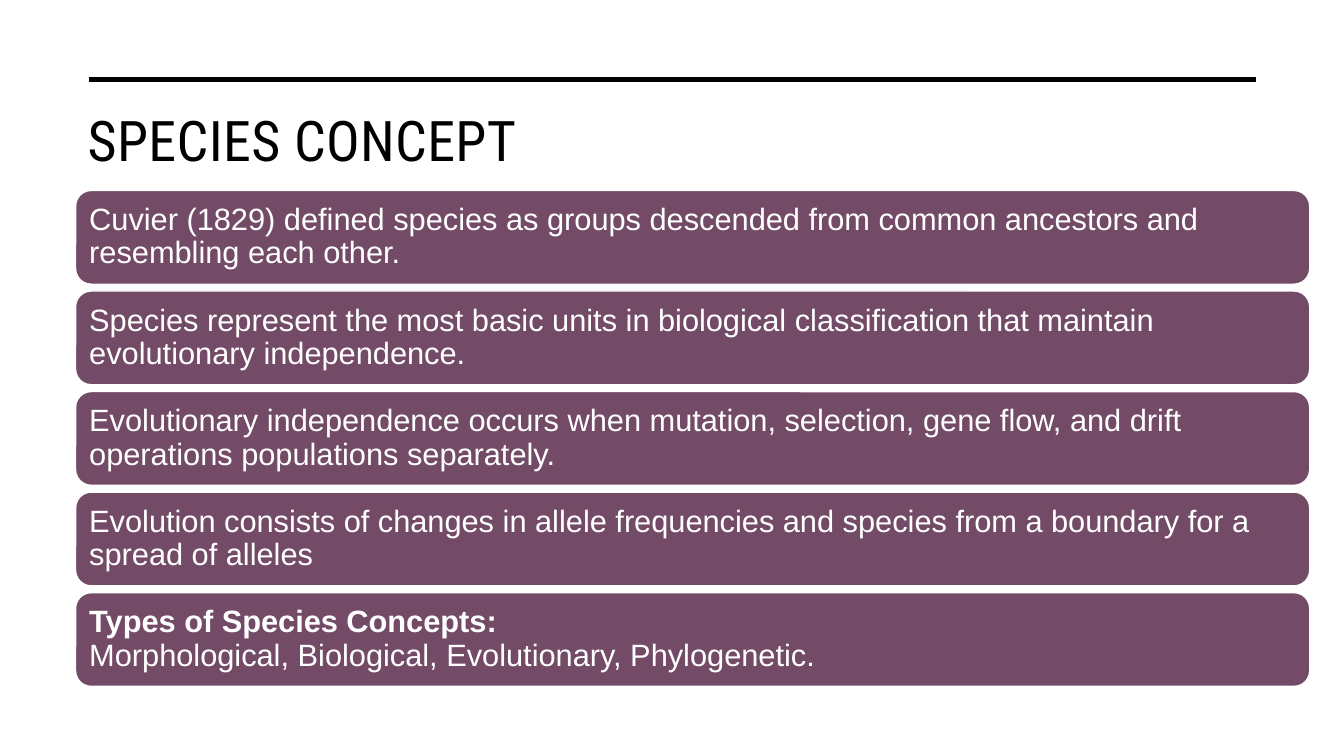
"""Build the species concept slide with five statement bars."""
from pptx import Presentation
from pptx.dml.color import RGBColor
from pptx.enum.shapes import MSO_CONNECTOR, MSO_SHAPE
from pptx.enum.text import MSO_ANCHOR, MSO_AUTO_SIZE, PP_ALIGN
from pptx.oxml.ns import qn
from pptx.util import Inches, Pt
from lxml.etree import SubElement


def color(hex_value):
    return RGBColor.from_string(hex_value)


def style_run(run, font_name, size, hex_value):
    run.font.name = font_name
    run.font.size = Pt(size)
    run.font.color.rgb = color(hex_value)


statements = [
    "Cuvier (1829) defined species as groups descended from common ancestors and resembling each other.",
    "Species represent the most basic units in biological classification that maintain evolutionary independence.",
    "Evolutionary independence occurs when mutation, selection, gene flow, and drift operations populations separately.",
    "Evolution consists of changes in allele frequencies and species from a boundary for a spread of alleles",
    "Types of Species Concepts:\vMorphological, Biological, Evolutionary, Phylogenetic.",
]

presentation = Presentation()
presentation.slide_width = Inches(13.33)
presentation.slide_height = Inches(7.5)
slide = presentation.slides.add_slide(presentation.slide_layouts[5])

heading = slide.shapes.title
heading.left, heading.top = Inches(0.77), Inches(1)
heading.width, heading.height = Inches(11.69), Inches(1.43)
heading.text_frame.text = "SPECIES CONCEPT"
heading.text_frame.auto_size = MSO_AUTO_SIZE.NONE
heading.text_frame.vertical_anchor = MSO_ANCHOR.TOP
heading_line = heading.text_frame.paragraphs[0]
heading_line.alignment = PP_ALIGN.LEFT
style_run(heading_line.runs[0], "Roboto Condensed", 40, "000000")
heading_line.runs[0].font._element.set("spc", "30")

top_rule = slide.shapes.add_connector(
    MSO_CONNECTOR.STRAIGHT, Inches(0.88), Inches(0.79), Inches(12.46), Inches(0.79))
top_rule.line.color.rgb = color("000000")
top_rule.line.width = Pt(3.5)
SubElement(top_rule._element.spPr, qn("a:effectLst"))

for index, statement in enumerate(statements):
    bar = slide.shapes.add_shape(
        MSO_SHAPE.ROUNDED_RECTANGLE, Inches(0.75), Inches(1.89 + index * 0.9975),
        Inches(12.24), Inches(0.93))
    bar.shadow.inherit = False
    bar.fill.solid()
    bar.fill.fore_color.rgb = color("734B67")
    bar.line.color.rgb = color("FFFFFF")
    bar.line.width = Pt(1)

    frame = bar.text_frame
    frame.text = statement
    frame.word_wrap = True
    frame.vertical_anchor = MSO_ANCHOR.MIDDLE
    frame.margin_left = frame.margin_right = Inches(0.09)
    frame.margin_top = frame.margin_bottom = Inches(0.09)
    paragraph = frame.paragraphs[0]
    paragraph.alignment = PP_ALIGN.LEFT
    paragraph.line_spacing = 0.9
    for run in paragraph.runs:
        style_run(run, "Arial", 22, "FFFFFF")
        run.font.bold = run.text.endswith(":")

presentation.save("out.pptx")
